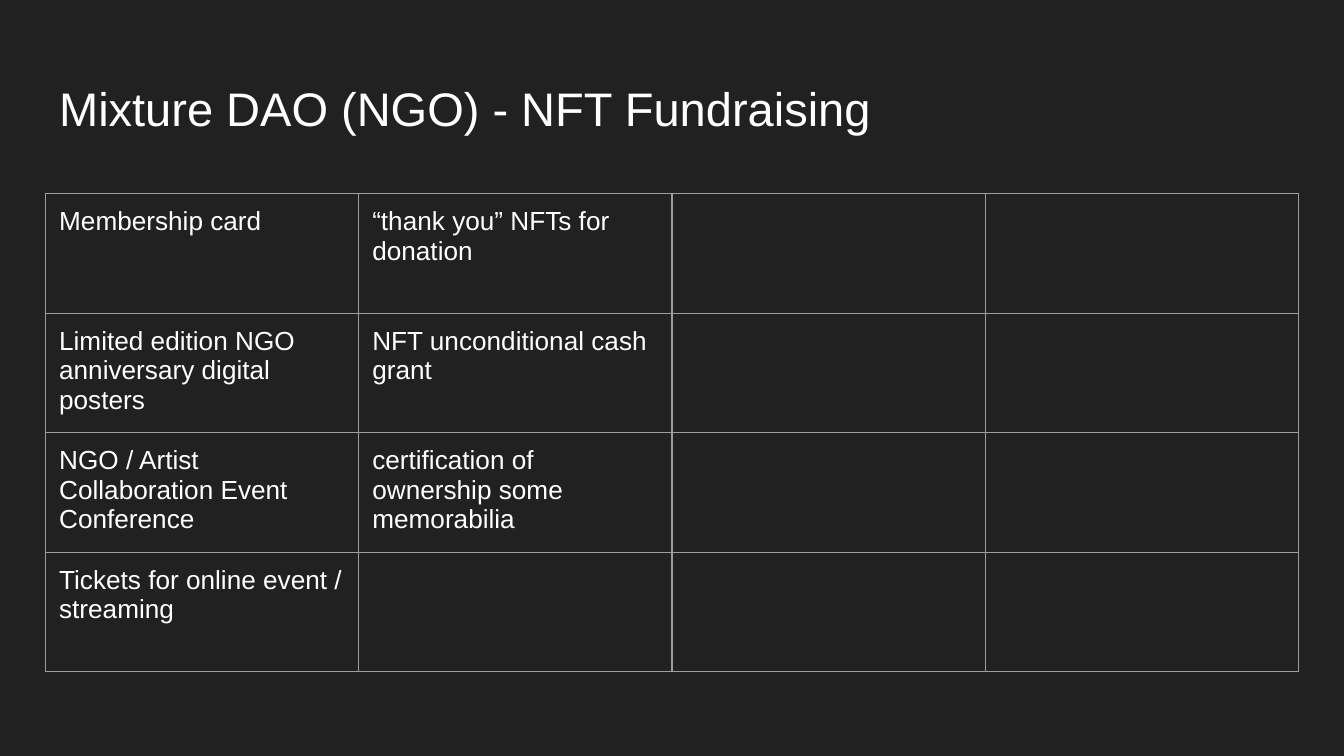
from lxml import etree
from pptx import Presentation, util as u
from pptx.dml.color import RGBColor
from pptx.enum import text
from pptx.oxml import ns

DARK = RGBColor(0x21, 0x21, 0x21)
WHITE = RGBColor(0xFF, 0xFF, 0xFF)
GREY = RGBColor(0x9E, 0x9E, 0x9E)
FONT = "Arial"
PAD = u.Inches(0.1)
WIDE = u.Inches(10)
HIGH = WIDE * 9 // 16
LEFT = u.Inches(0.34)
COL, ROW = u.Inches(2.33), u.Inches(0.89)

IDEAS = [
    ["Membership card", "“thank you” NFTs for donation", "", ""],
    ["Limited edition NGO anniversary digital posters",
     "NFT unconditional cash grant", "", ""],
    ["NGO / Artist Collaboration Event Conference",
     "certification of ownership some memorabilia", "", ""],
    ["Tickets for online event / streaming", "", "", ""],
]


def style(par, size):
    par.font.name = FONT
    par.font.size = u.Pt(size)
    par.font.color.rgb = WHITE


def border(cell):
    props = cell._tc.get_or_add_tcPr()
    for spot, side in enumerate(("lnL", "lnR", "lnT", "lnB")):
        line = etree.Element(ns.qn(f"a:{side}"), w=str(u.Pt(0.75)))
        fill = etree.SubElement(line, ns.qn("a:solidFill"))
        etree.SubElement(fill, ns.qn("a:srgbClr"), val=str(GREY))
        props.insert(spot, line)


# Slide and background
deck = Presentation()
deck.slide_width, deck.slide_height = WIDE, HIGH
slide = deck.slides.add_slide(deck.slide_layouts[5])
slide.background.fill.solid()
slide.background.fill.fore_color.rgb = DARK

# Title
title = slide.shapes.title
title.left, title.top = LEFT, u.Inches(0.49)
title.width, title.height = WIDE - 2 * LEFT, u.Inches(0.63)
frame = title.text_frame
frame.text = "Mixture DAO (NGO) - NFT Fundraising"
frame.auto_size = text.MSO_AUTO_SIZE.NONE
frame.vertical_anchor = text.MSO_ANCHOR.TOP
frame.margin_left = frame.margin_right = PAD
frame.margin_top = frame.margin_bottom = PAD
frame.paragraphs[0].alignment = text.PP_ALIGN.LEFT
style(frame.paragraphs[0], 25.2)

# Table of fundraising ideas
rows, cols = len(IDEAS), len(IDEAS[0])
table = slide.shapes.add_table(
    rows, cols, LEFT, u.Inches(1.44), cols * COL, rows * ROW).table
table.first_row = table.horz_banding = False
for r, ideas in enumerate(IDEAS):
    for c, idea in enumerate(ideas):
        cell = table.cell(r, c)
        cell.text = idea
        cell.margin_left = cell.margin_right = PAD
        cell.margin_top = cell.margin_bottom = PAD
        cell.fill.background()
        style(cell.text_frame.paragraphs[0], 14)
        border(cell)

deck.save("out.pptx")
